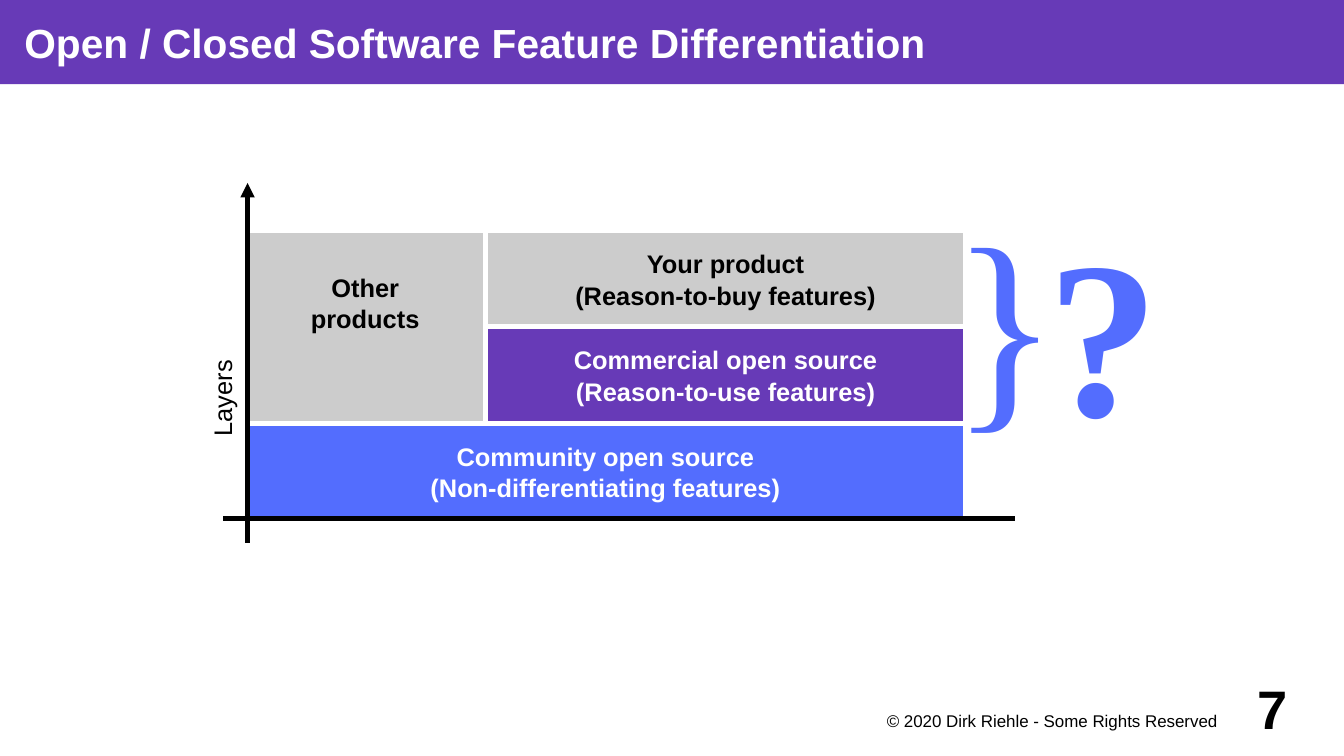
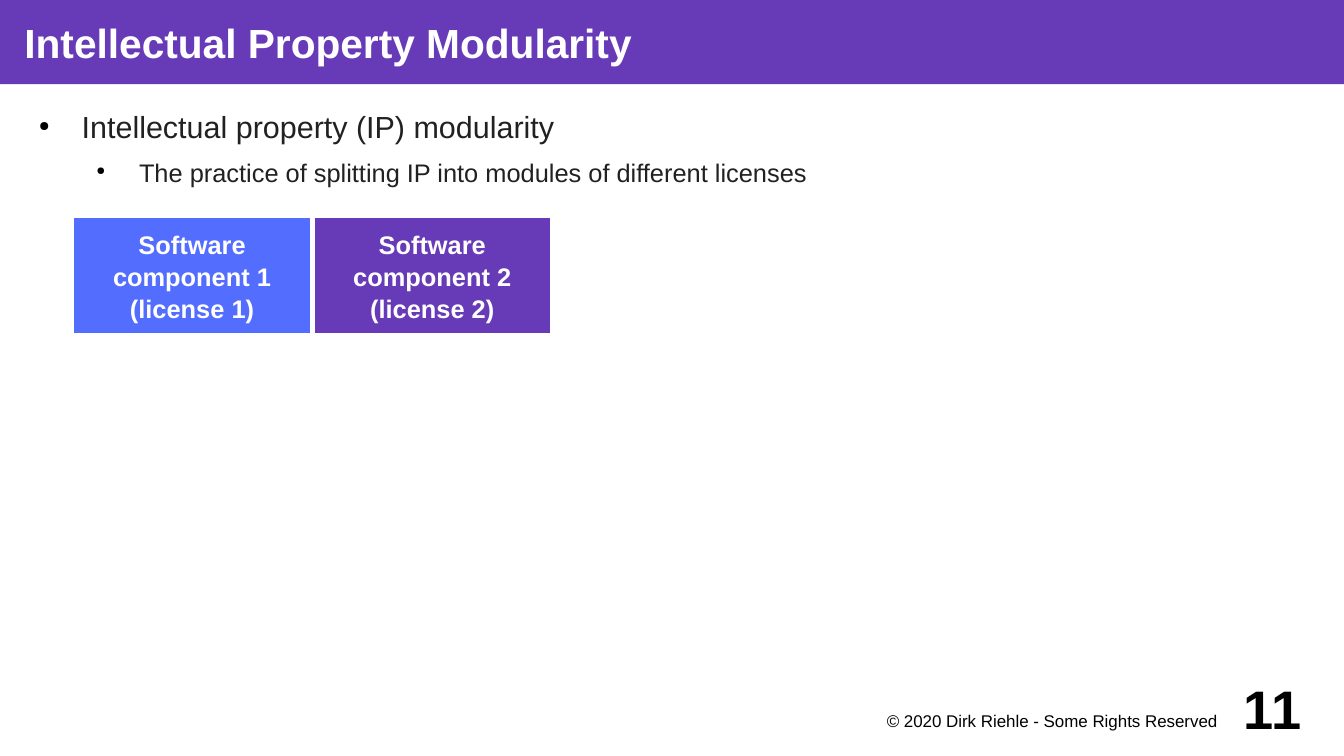
from lxml.etree import SubElement
from pptx import Presentation
from pptx.dml.color import RGBColor
from pptx.enum.shapes import MSO_CONNECTOR, MSO_SHAPE
from pptx.enum.text import MSO_ANCHOR as ANCHOR, PP_ALIGN as ALIGN
from pptx.oxml.ns import qn
from pptx.util import Inches, Pt

SLIDE_W, SLIDE_H = 11.02, 6.2
PURPLE, BLUE, GREY = "673AB7", "536DFE", "CCCCCC"
WHITE, BLACK, BODY = "FFFFFF", "000000", "212121"
SANS, SERIF = "Arial", "Times New Roman"
COPYRIGHT = "© 2020 Dirk Riehle - Some Rights Reserved"
LINE_WIDTH, INSET = 2.83, 0.08
BLOCK_W, BLOCK_H = 1.97, 0.79


def rgb(value):
    """Turn a hex string into a colour."""
    return RGBColor.from_string(value)


def lengths(*values):
    """Turn numbers of inches into lengths."""
    return [Inches(value) for value in values]


def set_frame(frame, anchor, insets, wrap=True):
    """Set anchor, insets (left, top, right, bottom) and wrapping."""
    frame.word_wrap = wrap
    frame.vertical_anchor = anchor
    (frame.margin_left, frame.margin_top,
     frame.margin_right, frame.margin_bottom) = lengths(*insets)


def add_run(paragraph, text, size, color, bold=False, font=SANS):
    """Append one formatted run."""
    run = paragraph.add_run()
    run.text = text
    run.font.size, run.font.bold, run.font.name = Pt(size), bold, font
    run.font.color.rgb = rgb(color)


def add_label(slide, box, text, size, color=BLACK, bold=False, font=SANS,
              anchor=ANCHOR.MIDDLE, insets=(INSET,) * 4):
    """Add a centred one-line text box."""
    label = slide.shapes.add_textbox(*lengths(*box))
    set_frame(label.text_frame, anchor, insets)
    paragraph = label.text_frame.paragraphs[0]
    paragraph.alignment = ALIGN.CENTER
    add_run(paragraph, text, size, color, bold, font)
    return label


def add_block(slide, box, fill, lines, color=WHITE, anchor=ANCHOR.MIDDLE, top=INSET):
    """Add a filled block with centred bold lines."""
    block = slide.shapes.add_shape(MSO_SHAPE.RECTANGLE, *lengths(*box))
    block.shadow.inherit = False
    block.fill.solid()
    block.fill.fore_color.rgb = rgb(fill)
    block.line.color.rgb = rgb(WHITE)
    block.line.width = Pt(LINE_WIDTH)
    frame = block.text_frame
    set_frame(frame, anchor, (INSET, top, INSET, INSET), wrap=False)
    for index, line in enumerate(lines):
        paragraph = frame.add_paragraph() if index else frame.paragraphs[0]
        paragraph.alignment = ALIGN.CENTER
        paragraph.line_spacing = 1.04
        add_run(paragraph, line, 15, color, bold=True)


def add_axis(slide, start, end, arrow=False):
    """Add a black axis line, with an arrowhead at its end if wanted."""
    axis = slide.shapes.add_connector(MSO_CONNECTOR.STRAIGHT, *lengths(*start, *end))
    axis.line.color.rgb = rgb(BLACK)
    axis.line.width = Pt(LINE_WIDTH)
    if arrow:
        SubElement(axis.line._get_or_add_ln(), qn("a:tailEnd"), type="triangle")
    SubElement(axis._element.spPr, qn("a:effectLst"))


def add_bullet(paragraph, text, level, size, before, after):
    """Fill a paragraph as a bullet of the given level."""
    properties = paragraph._p.get_or_add_pPr()
    properties.set("marL", str(Inches(0.47 * (level + 1))))
    properties.set("indent", str(Inches(-0.35)))
    bullet_color = SubElement(properties, qn("a:buClr"))
    SubElement(bullet_color, qn("a:srgbClr"), val=BLACK)
    SubElement(properties, qn("a:buSzPct"), val="45000")
    SubElement(properties, qn("a:buChar"), char="●")
    paragraph.level = level
    paragraph.space_before, paragraph.space_after = Pt(before), Pt(after)
    add_run(paragraph, text, size, BODY)


def add_slide(deck, heading, number):
    """Add a slide with its title band, copyright line and number."""
    slide = deck.slides.add_slide(deck.slide_layouts[5])
    title = slide.shapes.title
    title.left, title.top, title.width, title.height = lengths(0, 0, SLIDE_W, 0.69)
    title.fill.solid()
    title.fill.fore_color.rgb = rgb(PURPLE)
    set_frame(title.text_frame, ANCHOR.MIDDLE, (0.2, 0, 0, 0))
    paragraph = title.text_frame.paragraphs[0]
    paragraph.alignment = ALIGN.LEFT
    add_run(paragraph, heading, 24, WHITE, bold=True)
    add_label(slide, (7.09, 5.81, 3.15, 0.3), COPYRIGHT, 10,
              anchor=ANCHOR.TOP, insets=(0, 0.02, INSET, 0))
    add_label(slide, (10.04, 5.51, 0.79, 0.59), number, 32, bold=True, insets=(0,) * 4)
    return slide


def build_differentiation(deck):
    """Build the slide on layers of open and closed features."""
    slide = add_slide(deck, "Open / Closed Software Feature Differentiation", "7")
    left, top = 2.01, 1.89

    def cell(column, row, columns, rows):
        """Return the box of a block on the layer grid."""
        return (left + column * BLOCK_W, top + row * BLOCK_H,
                columns * BLOCK_W, rows * BLOCK_H)

    add_block(slide, cell(0, 2, 3, 1), BLUE,
              ["Community open source", "(Non-differentiating features)"])
    add_block(slide, cell(0, 0, 1, 2), GREY, ["Other", "products"], BLACK,
              anchor=ANCHOR.TOP, top=0.33)
    add_block(slide, cell(1, 1, 2, 1), PURPLE,
              ["Commercial open source", "(Reason-to-use features)"])
    add_block(slide, cell(1, 0, 2, 1), GREY,
              ["Your product", "(Reason-to-buy features)"], BLACK)
    layers = add_label(slide, (-0.04, 2.97, 3.54, 0.59), "Layers", 15,
                       anchor=ANCHOR.BOTTOM)
    layers.rotation = 270
    add_axis(slide, (2.03, 4.45), (2.03, 1.5), arrow=True)
    add_axis(slide, (1.83, 4.25), (8.32, 4.25))
    add_label(slide, (7.24, 1, 2.01, 3.15), "}", 132, BLUE, font=SERIF)
    add_label(slide, (8.51, 1.59, 1.07, 2.19), "?", 132, BLUE, bold=True, font=SERIF)


def build_modularity(deck):
    """Build the slide on splitting property into licensed modules."""
    slide = add_slide(deck, "Intellectual Property Modularity", "11")
    body = slide.shapes.add_textbox(*lengths(0.2, 0.89, 10.63, 4.53)).text_frame
    set_frame(body, ANCHOR.TOP, (0,) * 4)
    add_bullet(body.paragraphs[0], "Intellectual property (IP) modularity", 0, 18, 0, 4.2)
    add_bullet(body.add_paragraph(),
               "The practice of splitting IP into modules of different licenses",
               1, 15, 2.8, 2.8)
    for index, fill in enumerate([BLUE, PURPLE]):
        number = index + 1
        add_block(slide, (0.59 + index * BLOCK_W, 1.77, BLOCK_W, 0.98), fill,
                  ["Software", f"component {number}", f"(license {number})"])


def main():
    """Build and save the deck."""
    deck = Presentation()
    deck.slide_width, deck.slide_height = lengths(SLIDE_W, SLIDE_H)
    build_differentiation(deck)
    build_modularity(deck)
    deck.save("out.pptx")


if __name__ == "__main__":
    main()
